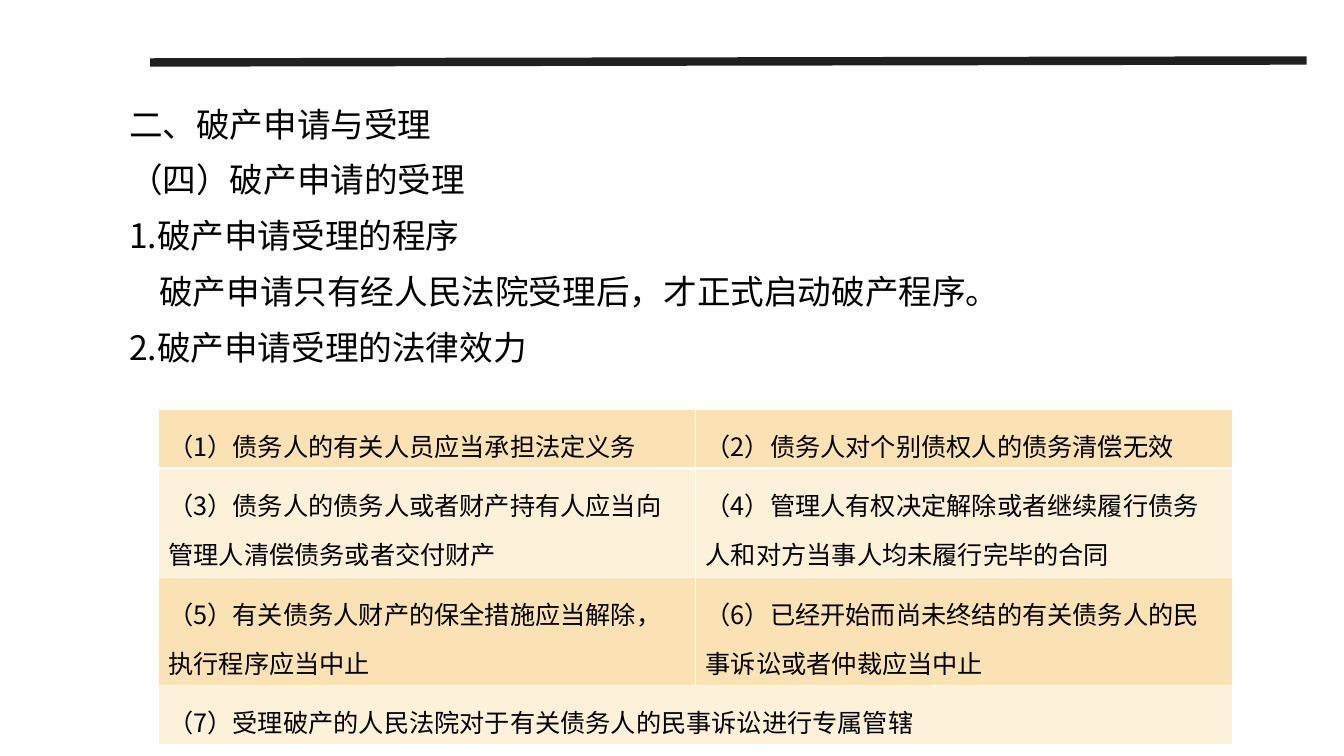
"""Build the slide on acceptance of a bankruptcy petition."""
from lxml import etree
from pptx import Presentation
from pptx import util as u
from pptx.dml.color import RGBColor
from pptx.enum import shapes, text
from pptx.oxml.ns import qn

FONT = "Noto Sans CJK SC"
COLORS = {"text": "000000", "rule": "202020", "border": "FFFFFF",
          "dark": "FAE2B5", "light": "FDF1DA"}
OUTLINE = [
    ("二、破产申请与受理", 0),
    ("（四）破产申请的受理", 0),
    ("1.破产申请受理的程序", 0),
    ("破产申请只有经人民法院受理后，才正式启动破产程序。", 0.3),
    ("2.破产申请受理的法律效力", 0),
]
EFFECTS = [
    ("（1）债务人的有关人员应当承担法定义务",
     "（2）债务人对个别债权人的债务清偿无效"),
    ("（3）债务人的债务人或者财产持有人应当向管理人清偿债务或者交付财产",
     "（4）管理人有权决定解除或者继续履行债务人和对方当事人均未履行完毕的合同"),
    ("（5）有关债务人财产的保全措施应当解除，执行程序应当中止",
     "（6）已经开始而尚未终结的有关债务人的民事诉讼或者仲裁应当中止"),
    ("（7）受理破产的人民法院对于有关债务人的民事诉讼进行专属管辖",),
]
ROW_HEIGHTS = [0.5, 0.7, 0.71, 0.51]
COLUMN_WIDTH = 5.33


def rgb(name):
    return RGBColor.from_string(COLORS[name])


def format_paragraph(p, size, spacing):
    p.line_spacing = spacing
    for r in p.runs:
        r.font.size = u.Pt(size)
        r.font.name = FONT
        r.font.color.rgb = rgb("text")
        etree.SubElement(r.font._element, qn("a:ea"), typeface=FONT)


def add_rule(slide):
    line = slide.shapes.add_connector(
        shapes.MSO_CONNECTOR.STRAIGHT,
        u.Inches(1.49), u.Inches(0.62), u.Inches(12.96), u.Inches(0.6))
    line.line.color.rgb = rgb("rule")
    line.line.width = u.Pt(6)
    etree.SubElement(line._element.spPr, qn("a:effectLst"))


def fill_outline(sp):
    sp.left, sp.top, sp.width, sp.height = map(
        u.Inches, (1.18, 0.95, 11.65, 6.11))
    tf = sp.text_frame
    tf.auto_size = text.MSO_AUTO_SIZE.NONE
    tf.vertical_anchor = text.MSO_ANCHOR.TOP
    tf.text = "\n".join(line for line, _ in OUTLINE)
    for p, (_, indent) in zip(tf.paragraphs, OUTLINE):
        format_paragraph(p, 24, 1.07)
        p.space_before = u.Pt(9)
        pPr = p._p.get_or_add_pPr()
        pPr.set("marL", str(u.Inches(indent)))
        pPr.set("indent", "0")
        etree.SubElement(pPr, qn("a:buNone"))


def border_cell(cell, bottom):
    tcPr = cell._tc.get_or_add_tcPr()
    for i, (side, width) in enumerate(
            (("lnL", 1), ("lnR", 1), ("lnT", 1), ("lnB", bottom))):
        ln = etree.Element(qn(f"a:{side}"), w=str(u.Pt(width)))
        fill = etree.SubElement(ln, qn("a:solidFill"))
        etree.SubElement(fill, qn("a:srgbClr"), val=COLORS["border"])
        tcPr.insert(i, ln)


def add_effects(slide):
    table = slide.shapes.add_table(
        len(EFFECTS), 2, u.Inches(1.57), u.Inches(4.06),
        u.Inches(2 * COLUMN_WIDTH), u.Inches(sum(ROW_HEIGHTS))).table
    for column in table.columns:
        column.width = u.Inches(COLUMN_WIDTH)
    for i, (row, height) in enumerate(zip(EFFECTS, ROW_HEIGHTS)):
        table.rows[i].height = u.Inches(height)
        if len(row) == 1:
            table.cell(i, 0).merge(table.cell(i, 1))
        for j in range(2):
            cell = table.cell(i, j)
            cell.fill.solid()
            cell.fill.fore_color.rgb = rgb("light" if i % 2 else "dark")
            border_cell(cell, 1 if i else 3)
            if j < len(row):
                cell.text_frame.text = row[j]
                format_paragraph(cell.text_frame.paragraphs[0], 18, 1.35)
                cell.text_frame.paragraphs[0].runs[0].font.bold = False


def main():
    prs = Presentation()
    prs.slide_width, prs.slide_height = u.Inches(13.33), u.Inches(7.5)
    slide = prs.slides.add_slide(prs.slide_layouts[1])
    title = slide.shapes.title.element
    title.getparent().remove(title)
    add_rule(slide)
    fill_outline(slide.placeholders[1])
    add_effects(slide)
    prs.save("out.pptx")


if __name__ == "__main__":
    main()
